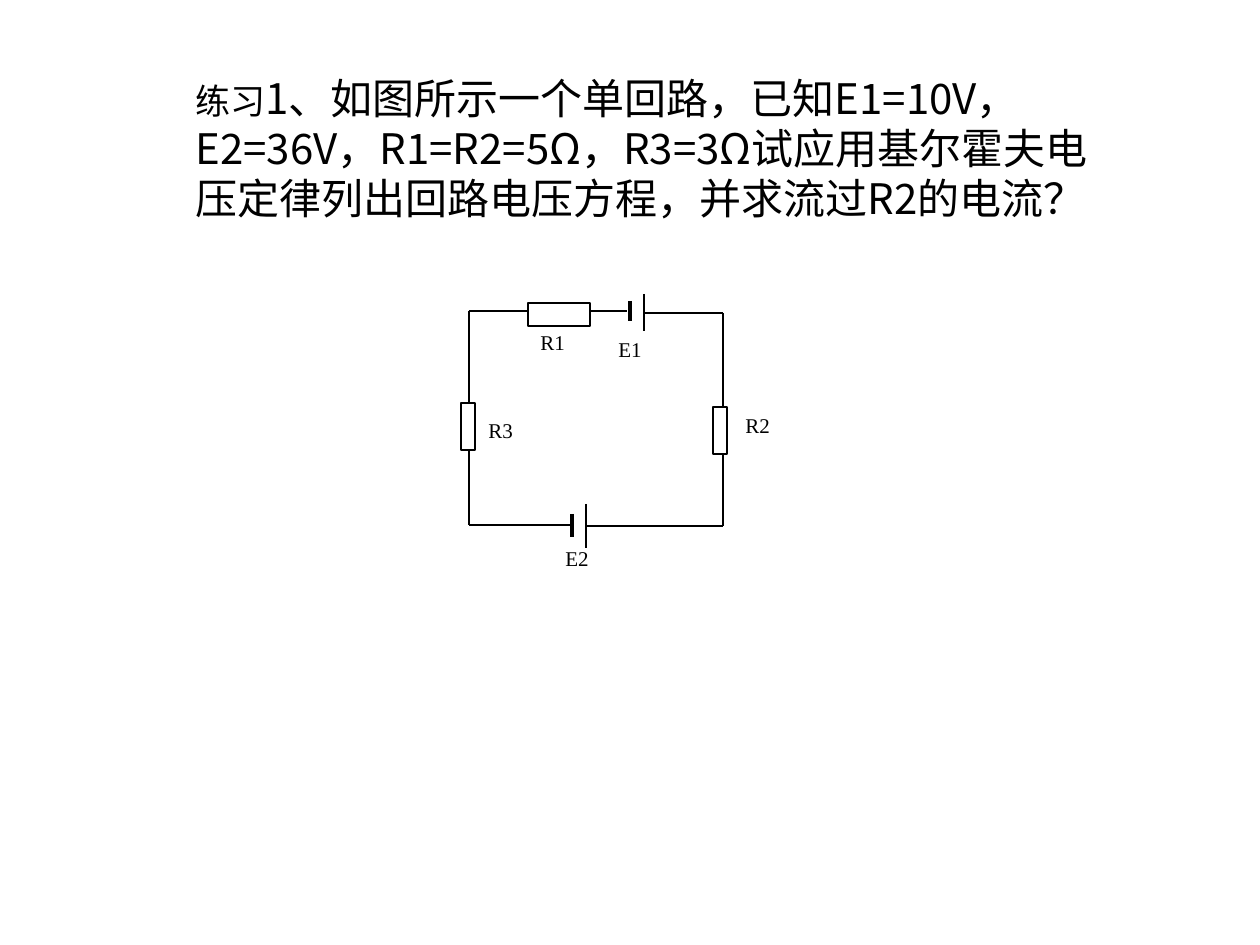
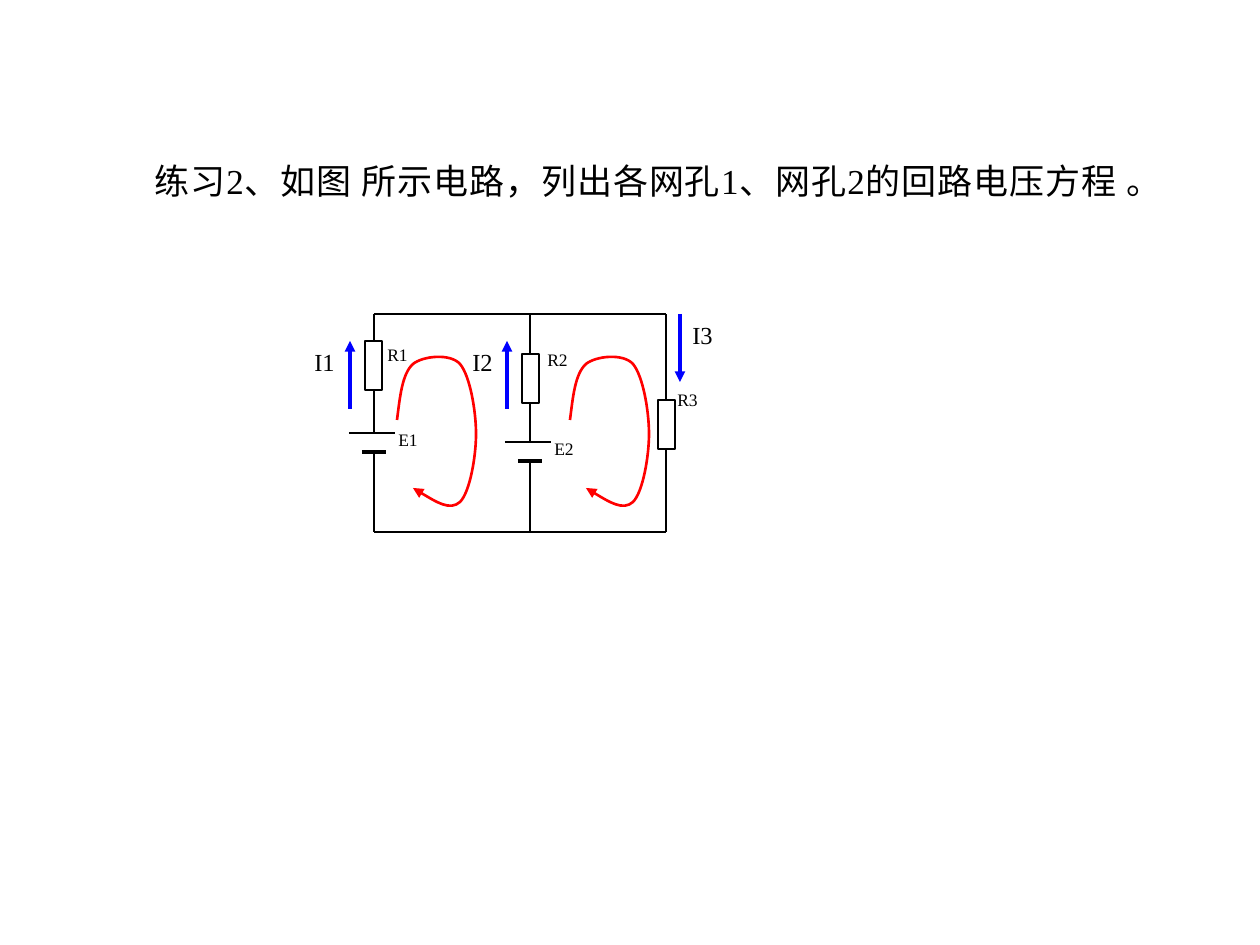
from lxml.etree import SubElement
from pptx import Presentation
from pptx.dml.color import RGBColor
from pptx.enum.shapes import MSO_CONNECTOR, MSO_SHAPE
from pptx.enum.text import MSO_ANCHOR, PP_ALIGN
from pptx.oxml.ns import qn
from pptx.util import Pt

PX = 914400 // 126
BLACK = RGBColor(0, 0, 0)
WHITE = RGBColor(255, 255, 255)
BLUE = RGBColor(0, 0, 255)
RED = RGBColor(255, 0, 0)
SANS = "Noto Sans CJK SC"
SERIF = "Times New Roman"
LOOP_START = (0, 67)
LOOP_CURVES = [
    (3, 44), (5, 21), (16, 11),
    (26, 3), (53, 0), (63, 11),
    (73, 23), (79, 58), (79, 81),
    (79, 103), (73, 139), (63, 149),
    (53, 158), (34, 146), (16, 135),
]


def add_arrowhead(shape):
    SubElement(shape.line._get_or_add_ln(), qn("a:tailEnd"), type="triangle")


def bend_segments(shape):
    segments = list(shape._element.iter(qn("a:lnTo")))
    for first in range(0, len(segments), 3):
        curve, *others = segments[first:first + 3]
        outline = curve.getparent()
        bezier = SubElement(outline, qn("a:cubicBezTo"))
        for segment in (curve, *others):
            bezier.append(segment[0])
            outline.remove(segment)


class Circuit:
    def __init__(self, page, left, top):
        self.shapes = page.shapes.add_group_shape().shapes
        self.left, self.top = left, top

    def place(self, x, y):
        return (self.left + x) * PX, (self.top + y) * PX

    def wire(self, x1, y1, x2, y2, width, color=BLACK):
        line = self.shapes.add_connector(
            MSO_CONNECTOR.STRAIGHT, *self.place(x1, y1), *self.place(x2, y2))
        line.line.color.rgb = color
        line.line.width = Pt(width)
        SubElement(line._element.spPr, qn("a:effectLst"))
        return line

    def arrow(self, x, start, end):
        add_arrowhead(self.wire(x, start, x, end, 2, BLUE))

    def rectangle(self, x, y, width, height, line_color, line_width):
        shape = self.shapes.add_shape(
            MSO_SHAPE.RECTANGLE, *self.place(x, y), width * PX, height * PX)
        shape.shadow.inherit = False
        shape.line.color.rgb = line_color
        shape.line.width = Pt(line_width)
        return shape

    def resistor(self, x, y, width, height):
        shape = self.rectangle(x, y, width, height, BLACK, 1.25)
        shape.fill.solid()
        shape.fill.fore_color.rgb = WHITE

    def label(self, text, x, y, width, height, size):
        shape = self.rectangle(x, y, width, height, WHITE, 0.75)
        shape.fill.background()
        frame = shape.text_frame
        frame.vertical_anchor = MSO_ANCHOR.TOP
        para = frame.paragraphs[0]
        para.text = text
        para.alignment = PP_ALIGN.JUSTIFY
        para.font.name = SERIF
        para.font.size = Pt(size)
        para.font.color.rgb = BLACK

    def mesh_loop(self, x, y):
        start, *points = [self.place(x + across, y + down)
                          for across, down in [LOOP_START, *LOOP_CURVES]]
        builder = self.shapes.build_freeform(*start)
        builder.add_line_segments(points, close=False)
        loop = builder.convert_to_shape()
        bend_segments(loop)
        loop.shadow.inherit = False
        loop.fill.background()
        loop.line.color.rgb = RED
        loop.line.width = Pt(1.5)
        add_arrowhead(loop)


def add_question(page, box, spans, font_name, spacing, indent=0, alignment=None, tracking=0):
    frame = page.shapes.add_textbox(*(length * PX for length in box)).text_frame
    frame.word_wrap = True
    para = frame.paragraphs[0]
    para.alignment = alignment
    para.line_spacing = Pt(spacing)
    para.font.name = font_name
    para.font.color.rgb = BLACK
    properties = para._p.get_or_add_pPr()
    properties.set("indent", str(indent * PX))
    SubElement(properties.find(qn("a:defRPr")), qn("a:ea"), typeface=SANS)
    for text, size in spans:
        span = para.add_run()
        span.text = text
        span.font.size = Pt(size)
        span._r.get_or_add_rPr().set("spc", str(tracking))


def draw_single_loop(page, left, top):
    circuit = Circuit(page, left, top)
    for text, x, y, height in [("R3", 7, 100, 40), ("E1", 137, 19, 54), ("R2", 264, 95, 54),
                               ("R1", 59, 12, 54), ("E2", 84, 228, 40)]:
        circuit.label(text, x, y, 63, height, 12)
    for wire in [(0, 0, 158, 0), (176, 2, 254, 2), (254, 2, 254, 215),
                 (0, 0, 0, 214), (0, 214, 101, 214), (254, 215, 118, 215)]:
        circuit.wire(*wire, 1.25)
    for plate in [(175, -17, 175, 20, 1), (161, -10, 161, 10, 2),
                  (117, 193, 117, 237, 1.25), (103, 203, 103, 226, 2.25)]:
        circuit.wire(*plate)
    for resistor in [(59, -8, 62, 23), (244, 96, 14, 47), (-8, 92, 14, 47)]:
        circuit.resistor(*resistor)


def draw_two_meshes(page, left, top):
    circuit = Circuit(page, left, top)
    for text, x, y in [("I3", 306, 0), ("I2", 86, 27), ("I1", -72, 27)]:
        circuit.label(text, x, y, 63, 68, 14)
    for text, x, y in [("E1", 12, 109), ("R1", 1, 24), ("R2", 161, 29),
                       ("E2", 168, 118), ("R3", 291, 69)]:
        circuit.label(text, x, y, 78, 79, 10)
    for arrow in [(-24, 95, 27), (133, 95, 27), (306, 0, 68)]:
        circuit.arrow(*arrow)
    for wire in [(0, 0, 292, 0), (0, 218, 292, 218), (292, 218, 292, 0)]:
        circuit.wire(*wire, 0.75)
    for x, plate_top in [(0, 119), (156, 128)]:
        circuit.wire(x, 0, x, plate_top, 0.75)
        circuit.wire(x, 218, x, plate_top + 19, 0.75)
        circuit.wire(x - 25, plate_top, x + 21, plate_top, 1)
        circuit.wire(x - 12, plate_top + 19, x + 12, plate_top + 19, 2)
    for x, y in [(284, 86), (148, 40), (-9, 27)]:
        circuit.resistor(x, y, 17, 49)
    for x in (23, 196):
        circuit.mesh_loop(x, 39)


def main():
    deck = Presentation()
    deck.slide_width, deck.slide_height = 1260 * PX, 945 * PX
    blank = deck.slide_layouts[6]

    page = deck.slides.add_slide(blank)
    draw_single_loop(page, 469, 311)
    add_question(page, (183, 67, 932, 214), [
        ("练习", 20),
        ("1、如图所示一个单回路，已知E1=10V，E2=36V，R1=R2=5Ω，R3=3Ω"
         "试应用基尔霍夫电压定律列出回路电压方程，并求流过R2的电流？", 24),
    ], SANS, 28.6)

    page = deck.slides.add_slide(blank)
    add_question(page, (54, 133, 1121, 92), [
        ("练习2、如图 所示电路，列出各网孔1、网孔2的回路电压方程 。", 20),
    ], SERIF, 35.4, 88, PP_ALIGN.JUSTIFY, 50)
    draw_two_meshes(page, 374, 314)

    deck.save("out.pptx")


if __name__ == "__main__":
    main()
